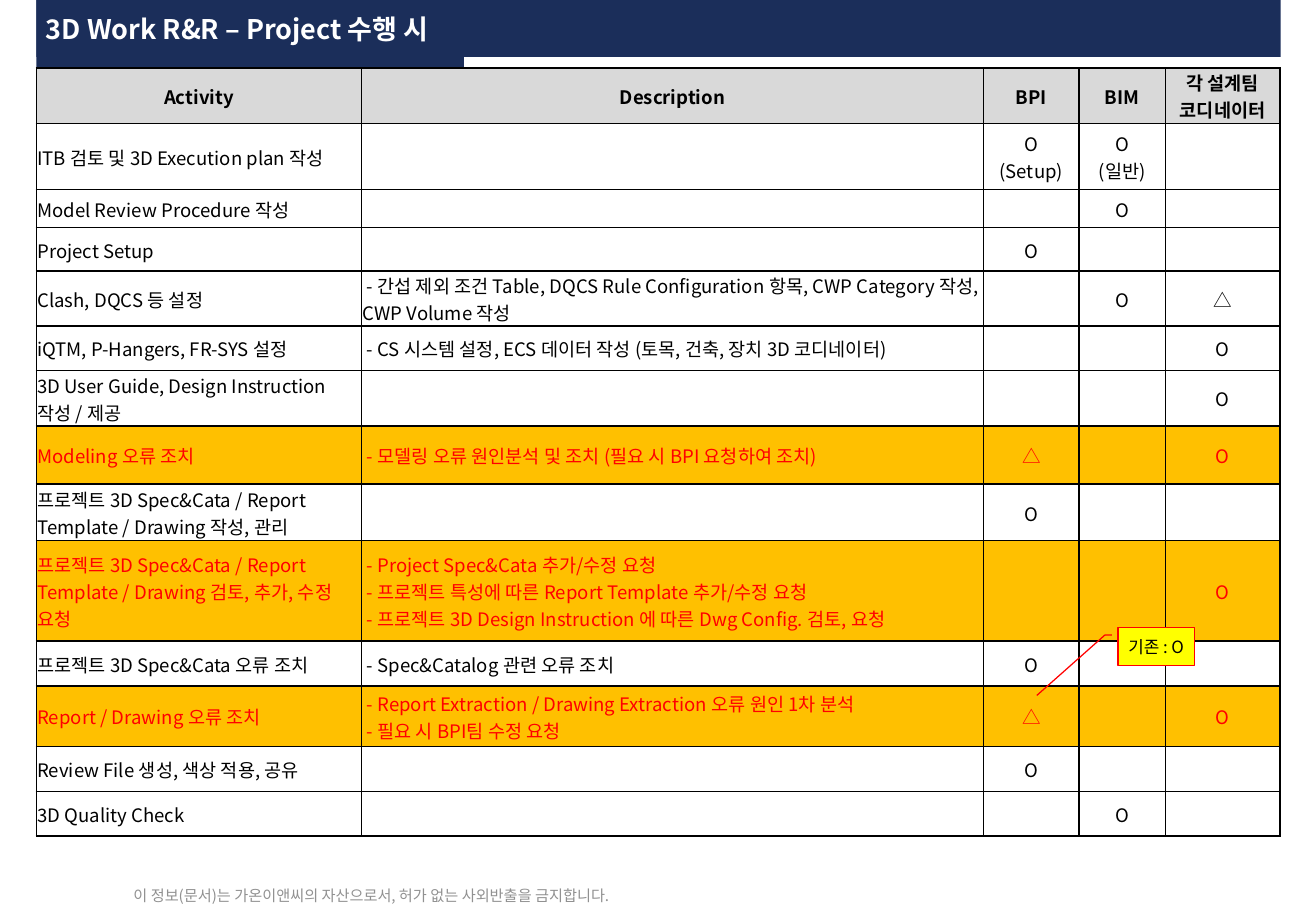
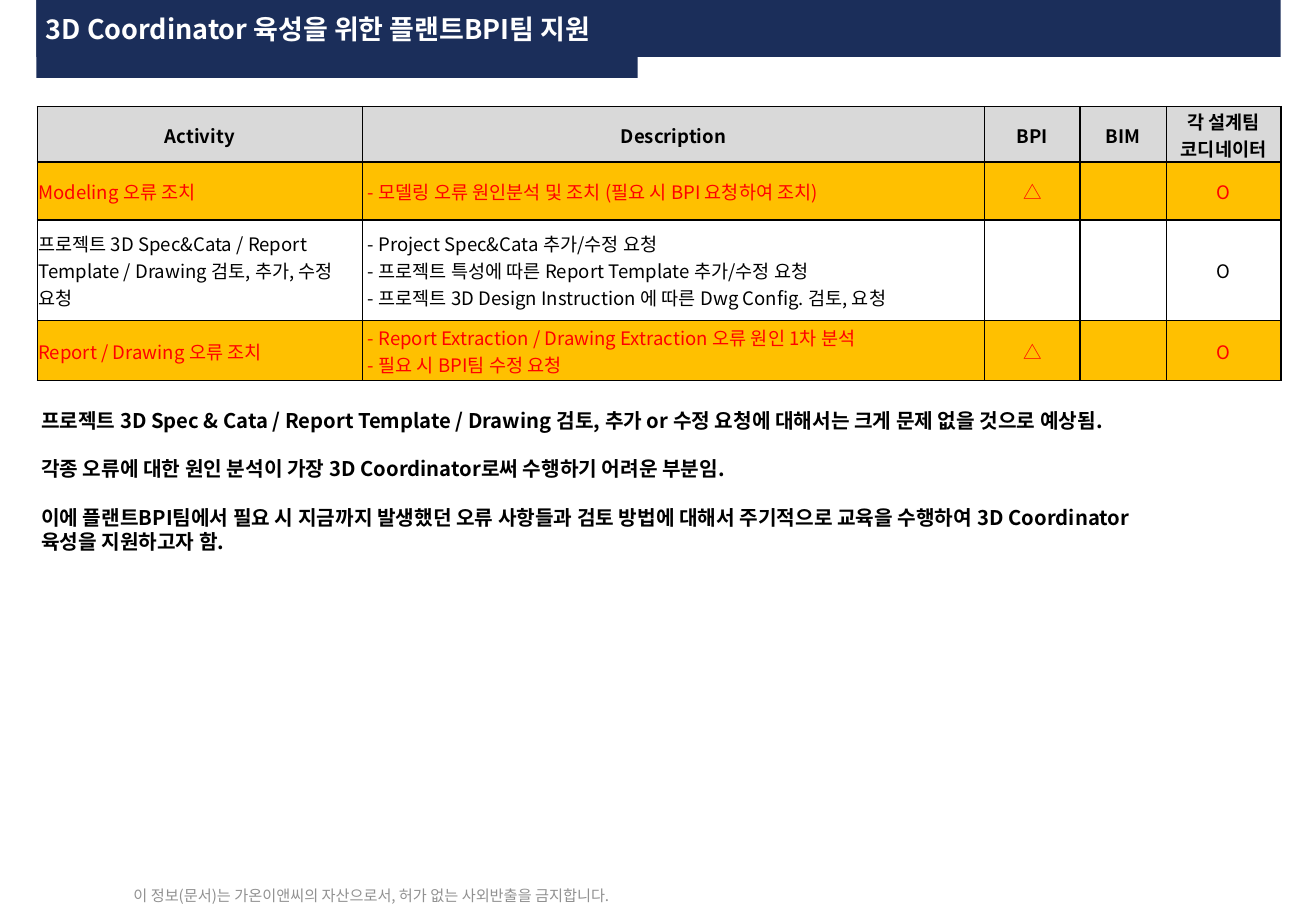
from lxml.etree import SubElement
from pptx import Presentation
from pptx.dml.color import RGBColor
from pptx.enum.shapes import MSO_SHAPE as Shape
from pptx.enum.text import MSO_ANCHOR as Anchor, MSO_AUTO_SIZE as Fit, PP_ALIGN as Align
from pptx.oxml.ns import qn
from pptx.util import Cm, Pt

FONT = "Noto Sans CJK KR"
NAVY, GREY, ORANGE, YELLOW = "1B2E5A", "D9D9D9", "FFC000", "FFFF00"
BLACK, WHITE, RED, PALE = "000000", "FFFFFF", "FF0000", "919191"
LEFT, WIDE = 0.76, 26.01
INSET = 0.1

FOOTER = "이 정보(문서)는 가온이앤씨의 자산으로서, 허가 없는 사외반출을 금지합니다."
TITLES = [("3D Work R&R – Project 수행 시", 8.94),
          ("3D Coordinator 육성을 위한 플랜트BPI팀 지원", 12.57)]

COLS = [6.8, 13, 2, 1.8, 2.4]
HEAD = ["Activity", "Description", "BPI", "BIM", "각 설계팀\v코디네이터"]

# Each row: height, activity, description, BPI, BIM, team coordinator
MODEL = (1.21, "Modeling 오류 조치",
         "- 모델링 오류 원인분석 및 조치 (필요 시 BPI 요청하여 조치)", "△", "", "O")
CHECK = (2.1, "프로젝트 3D Spec&Cata / Report Template / Drawing 검토, 추가, 수정 요청",
         "- Project Spec&Cata 추가/수정 요청\n"
         "- 프로젝트 특성에 따른 Report Template 추가/수정 요청\n"
         "- 프로젝트 3D Design Instruction 에 따른 Dwg Config. 검토, 요청", "", "", "O")
REPORT = (1.26, "Report / Drawing 오류 조치",
          "- Report Extraction / Drawing Extraction 오류 원인 1차 분석\n"
          "- 필요 시 BPI팀 수정 요청", "△", "", "O")
DUTIES = [
    (1.38, "ITB 검토 및 3D Execution plan 작성", "", "O\v(Setup)", "O\v(일반)", ""),
    (0.8, "Model Review Procedure 작성", "", "", "O", ""),
    (0.91, "Project Setup", "", "O", "", ""),
    (1.15, "Clash, DQCS 등 설정",
     "- 간섭 제외 조건 Table, DQCS Rule Configuration 항목, CWP Category 작성, "
     "CWP Volume 작성", "", "O", "△"),
    (0.93, "iQTM, P-Hangers, FR-SYS 설정",
     "- CS 시스템 설정, ECS 데이터 작성 (토목, 건축, 장치 3D 코디네이터)", "", "", "O"),
    (1.16, "3D User Guide, Design Instruction 작성 / 제공", "", "", "", "O"),
    MODEL,
    (1.19, "프로젝트 3D Spec&Cata / Report Template / Drawing 작성, 관리", "", "O", "", ""),
    CHECK,
    (0.94, "프로젝트 3D Spec&Cata 오류 조치", "- Spec&Catalog 관련 오류 조치", "O", "", ""),
    REPORT,
    (0.94, "Review File 생성, 색상 적용, 공유", "", "O", "", ""),
    (0.93, "3D Quality Check", "", "", "O", ""),
]
NOTES = [
    "프로젝트 3D Spec & Cata / Report Template / Drawing 검토, 추가 or 수정 요청에 "
    "대해서는 크게 문제 없을 것으로 예상됨.",
    "각종 오류에 대한 원인 분석이 가장 3D Coordinator로써 수행하기 어려운 부분임.",
    "이에 플랜트BPI팀에서 필요 시 지금까지 발생했던 오류 사항들과 검토 방법에 대해서 "
    "주기적으로 교육을 수행하여 3D Coordinator\v육성을 지원하고자 함.",
]


def rgb(code):
    return RGBColor.from_string(code)


def paint(shape, code):
    shape.fill.solid()
    shape.fill.fore_color.rgb = rgb(code)


def place(shape, *box):
    shape.left, shape.top, shape.width, shape.height = map(Cm, box)


def write(frame, text, size, code, bold=False, align=Align.LEFT):
    frame.text = text
    for par in frame.paragraphs:
        par.alignment = align
        font = par.font
        font.name, font.size, font.bold = FONT, Pt(size), bold
        font.color.rgb = rgb(code)
        SubElement(font._element, qn("a:ea"), typeface=FONT)


def inset(frame, side, edge):
    frame.margin_left = frame.margin_right = Cm(side)
    frame.margin_top = frame.margin_bottom = Cm(edge)


def label(slide, box, text, size, code, bold=False):
    """Add a text box that keeps its lines unwrapped."""
    frame = slide.shapes.add_textbox(*map(Cm, box)).text_frame
    write(frame, text, size, code, bold)
    frame.word_wrap = False
    return frame


def start(deck, text, width):
    """Add a slide with the band, footer and title."""
    slide = deck.slides.add_slide(deck.slide_layouts[5])
    band = slide.shapes.add_shape(Shape.RECTANGLE, Cm(LEFT), 0, Cm(WIDE), Cm(1.19))
    band.shadow.inherit = False
    paint(band, NAVY)
    band.line.fill.background()

    foot = label(slide, (2.79, 18.49, 10.92, 0.43), FOOTER, 9, PALE)
    inset(foot, 0, 0)
    foot.vertical_anchor = Anchor.MIDDLE
    foot.paragraphs[0].line_spacing = 1.1

    title = slide.shapes.title
    band._element.addnext(title._element)
    place(title, LEFT, 0.15, width, 0.89)
    paint(title, NAVY)
    frame = title.text_frame
    write(frame, text, 16, WHITE, True)
    inset(frame, 0.2, INSET)
    frame.vertical_anchor = Anchor.MIDDLE
    frame.word_wrap = False
    frame.auto_size = Fit.SHAPE_TO_FIT_TEXT
    return slide


def border(cell):
    props = cell._tc.get_or_add_tcPr()
    for at, side in enumerate(("lnL", "lnR", "lnT", "lnB")):
        line = props.makeelement(qn(f"a:{side}"), {"w": str(Pt(1))})
        fill = SubElement(line, qn("a:solidFill"))
        SubElement(fill, qn("a:srgbClr"), val=BLACK)
        props.insert(at, line)


def style(cell, text, code, fill, bold, align, dash):
    frame = cell.text_frame
    write(frame, text, 11, code, bold, align)
    cell.vertical_anchor = Anchor.MIDDLE
    cell.margin_left = cell.margin_right = cell.margin_top = Cm(0.02)
    cell.margin_bottom = 0
    if fill:
        paint(cell, fill)
    else:
        cell.fill.background()
    border(cell)
    for par in frame.paragraphs:
        if not text:
            SubElement(par._p, qn("a:endParaRPr"), sz="1100")
        elif dash:
            props = par._p.get_or_add_pPr()
            props.set("marL", "0")
            props.set("indent", str(Cm(0.09)))


def grid(slide, left, top, rows, hot):
    """Add the duty table; rows listed in hot are highlighted."""
    lines = [(1.16, *HEAD), *rows]
    tall = sum(line[0] for line in lines)
    table = slide.shapes.add_table(len(lines), len(COLS), Cm(left), Cm(top),
                                   Cm(sum(COLS)), Cm(tall)).table
    table.first_row = table.horz_banding = False
    for col, width in zip(table.columns, COLS):
        col.width = Cm(width)
    for r, line in enumerate(lines):
        table.rows[r].height = Cm(line[0])
        head, lit = r == 0, line in hot
        fill = GREY if head else ORANGE if lit else None
        for c, text in enumerate(line[1:]):
            align = Align.CENTER if head or c > 1 else Align.LEFT
            style(table.cell(r, c), text, RED if lit else BLACK, fill, head, align,
                  c == 1 and not head)


def callout(slide):
    note = slide.shapes.add_shape(Shape.LINE_CALLOUT_2, Cm(23.37), Cm(13.13),
                                  Cm(1.6), Cm(0.79))
    for at, value in enumerate((0.19, -0.08, 0.19, -0.17, 1.79, -1.06)):
        note.adjustments[at] = value
    note.shadow.inherit = False
    paint(note, YELLOW)
    note.line.color.rgb = rgb(RED)
    note.line.width = Pt(0.75)
    write(note.text_frame, "기존 : O", 10, BLACK, align=Align.CENTER)
    inset(note.text_frame, INSET, INSET)
    note.text_frame.vertical_anchor = Anchor.MIDDLE


def main():
    deck = Presentation()
    deck.slide_width, deck.slide_height = Cm(27.51), Cm(19.05)
    roles, support = [start(deck, *title) for title in TITLES]

    grid(roles, LEFT, 1.42, DUTIES, [MODEL, CHECK, REPORT])
    callout(roles)

    grid(support, 0.78, 2.23, [MODEL, CHECK, REPORT], [MODEL, REPORT])
    frame = label(support, (LEFT, 8.43, 25.37, 3.28), "\n".join(NOTES), 12, BLACK, True)
    inset(frame, INSET, INSET)
    for at, par in enumerate(frame.paragraphs):
        par.line_spacing = Pt(14.4)
        if at:
            par.space_before = Pt(14.4)

    deck.save("out.pptx")


if __name__ == "__main__":
    main()
